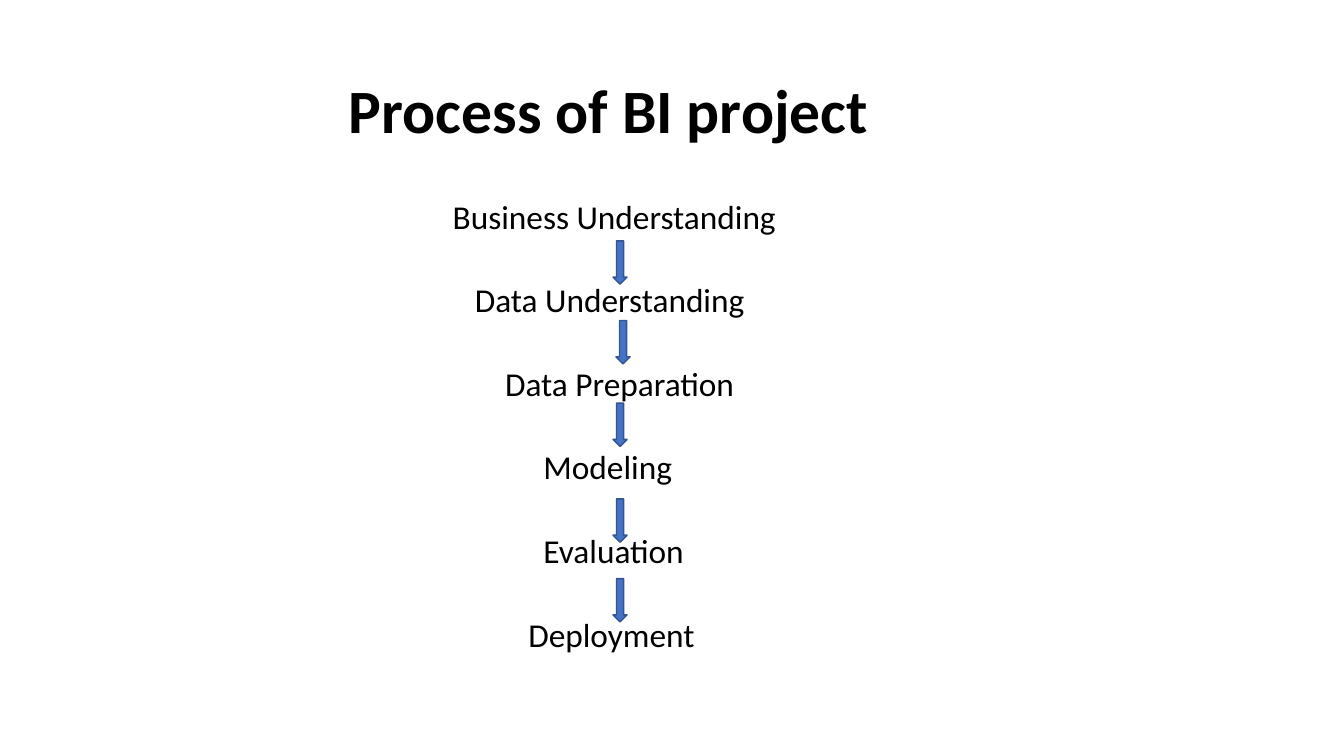
from pptx import Presentation
from pptx.enum import shapes, text
from pptx.oxml import parse_xml
from pptx.oxml.ns import nsdecls
from pptx.util import Inches, Pt
from pptx.dml.color import RGBColor

# Content
TITLE, TITLE_INDENT = "Process of BI project", 2.44
STEPS = [  # wording, indent in inches
    ("Business Understanding", 3.47),
    ("Data Understanding", 3.69),
    ("Data Preparation", 3.99),
    ("Modeling", 4.37),
    ("Evaluation", 4.37),
    ("Deployment", 4.22),
]
ARROWS = [(6.08, 2.39), (6.11, 3.18), (6.08, 4), (6.08, 4.95), (6.08, 5.74)]
COLORS = {"text": "000000", "arrow": "4472C4", "outline": "325491"}


def color(name):
    return RGBColor.from_string(COLORS[name])


def place(sp, left, top, width, height):
    sp.left, sp.top = Inches(left), Inches(top)
    sp.width, sp.height = Inches(width), Inches(height)


def format_paragraph(p, size, indent, line_spacing, bold=False):
    p.alignment = text.PP_ALIGN.LEFT
    p.line_spacing = line_spacing
    p.font.name, p.font.size, p.font.bold = "Calibri", Pt(size), bold
    p.font.color.rgb = color("text")
    pPr = p._p.get_or_add_pPr()
    pPr.set("marL", str(Inches(indent)))
    pPr.set("indent", "0")
    return pPr


prs = Presentation()
prs.slide_width, prs.slide_height = Inches(13.33), Inches(7.5)
slide = prs.slides.add_slide(prs.slide_layouts[1])

# Title
title = slide.shapes.title
place(title, 0.92, 0.4, 11.5, 1.45)
tf = title.text_frame
tf.text = TITLE
tf.vertical_anchor = text.MSO_ANCHOR.MIDDLE
tf.auto_size = text.MSO_AUTO_SIZE.NONE
format_paragraph(tf.paragraphs[0], 44, TITLE_INDENT, 0.9, bold=True)

# Process steps
body = slide.placeholders[1]
place(body, 0.92, 2, 11.5, 4.76)
tf = body.text_frame
tf.auto_size = text.MSO_AUTO_SIZE.NONE
tf.text = "\n".join(step for step, _ in STEPS)
for i, (p, (_, indent)) in enumerate(zip(tf.paragraphs, STEPS)):
    p.space_before = Pt(39.7 if i else 10)
    pPr = format_paragraph(p, 23.8, indent, 0.7)
    pPr.insert_element_before(
        parse_xml(f"<a:buNone {nsdecls('a')}/>"), "a:tabLst", "a:defRPr", "a:extLst")

# Arrows between steps
for left, top in ARROWS:
    sp = slide.shapes.add_shape(shapes.MSO_SHAPE.DOWN_ARROW, Inches(left),
                                Inches(top), Inches(0.14), Inches(0.43))
    sp.shadow.inherit = False
    sp.fill.solid()
    sp.fill.fore_color.rgb = color("arrow")
    sp.line.color.rgb = color("outline")
    sp.line.width = Pt(1)

prs.save("out.pptx")
